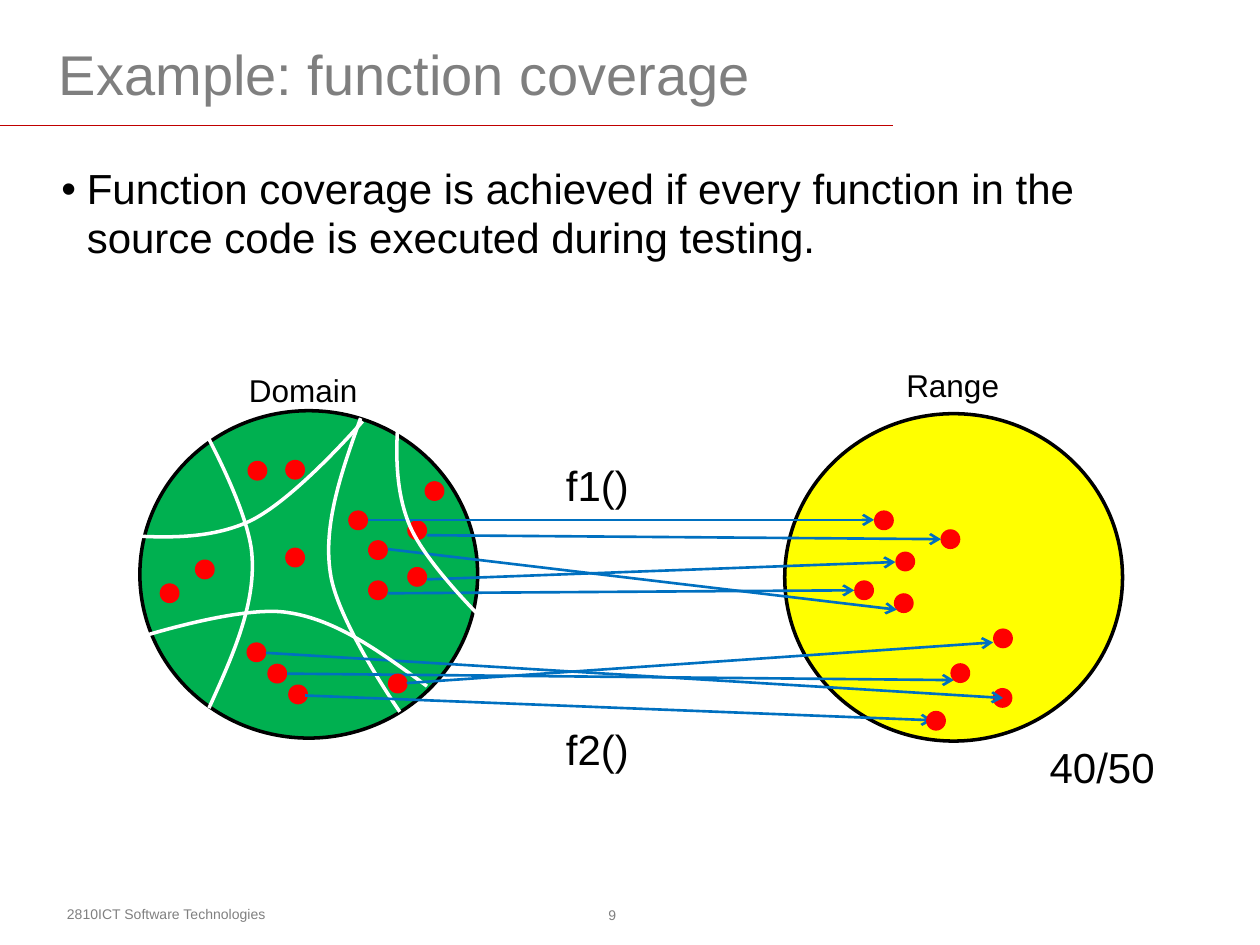
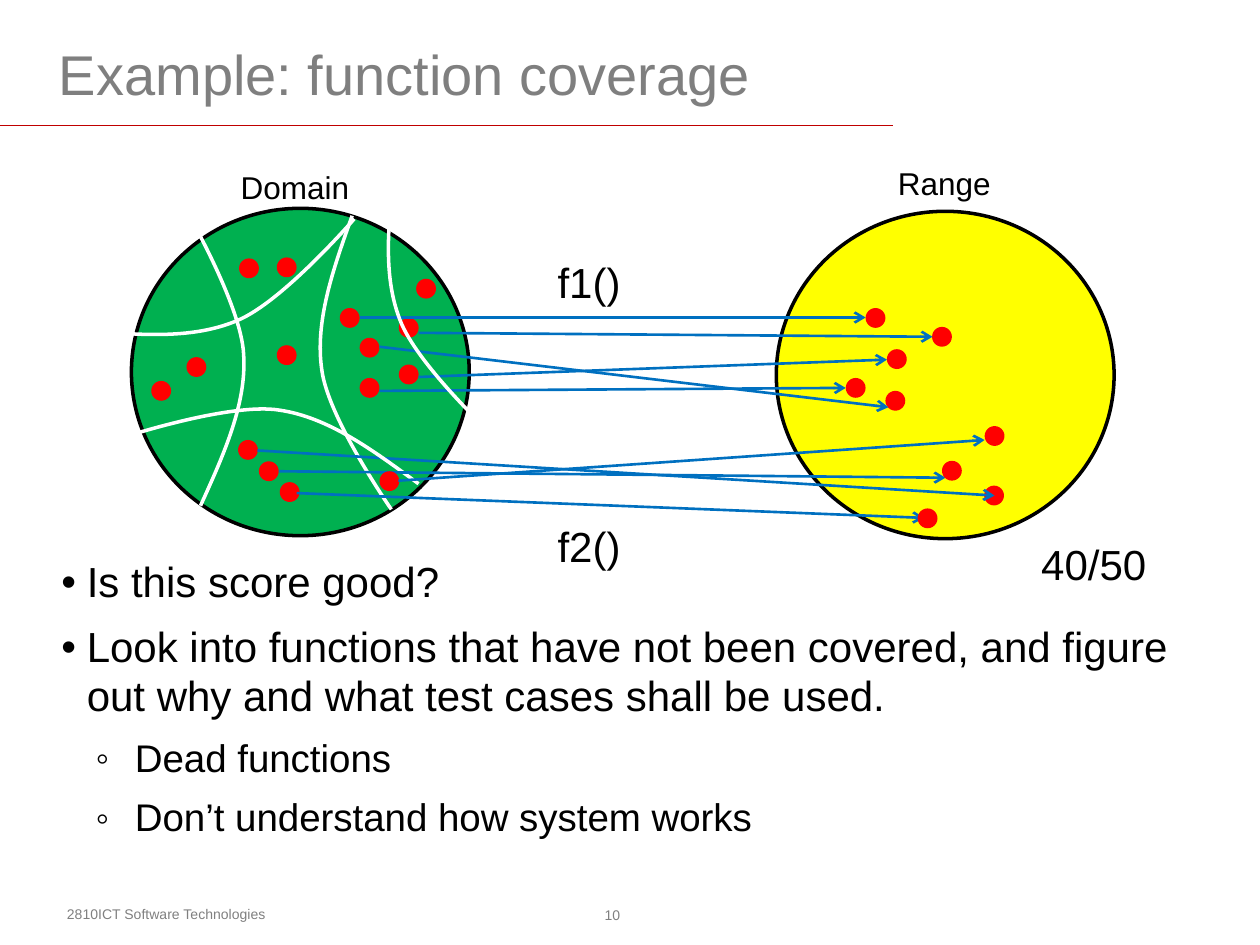
from dataclasses import dataclass

from lxml import etree
from pptx import Presentation
from pptx import util as u
from pptx.dml import color
from pptx.enum import shapes, text
from pptx.oxml import ns

COLOURS = {
    "title": "7F7F7F",
    "footer": "808080",
    "rule": "C00000",
    "text": "000000",
    "domain": "00B050",
    "range": "FFFF00",
    "dot": "FF0000",
    "arrow": "0070C0",
    "boundary": "FFFFFF",
}
FONT = "Arial"
DOT_SIZE = 0.4
SET_WIDTH, SET_HEIGHT = 6.81, 6.6

# The boundary curve, in hundredths of a centimetre inside its box.
CURVE_BOX = (145, 592)
CURVE_START = (66, 0)
CURVE_SEGMENTS = [
    [(28, 107), (-10, 213), (5, 312)],
    [(18, 409), (145, 592), (145, 592)],
]


# All lengths are centimetres; text sizes are points.
@dataclass(frozen=True)
class SetCircle:
    left: float
    top: float
    fill: str


@dataclass(frozen=True)
class Dot:
    left: float
    top: float


@dataclass(frozen=True)
class Arrow:
    x1: float
    y1: float
    x2: float
    y2: float


@dataclass(frozen=True)
class Boundary:
    left: float
    top: float
    rotation: float = 0


@dataclass(frozen=True)
class Label:
    words: str
    left: float
    top: float
    width: float = 2.64
    height: float = 1.12
    size: float = 24
    colour: str = "text"
    insets: tuple[float, float, float, float] = (0.25, 0, 0.25, 0.1)
    wrap: bool = True
    anchor: text.MSO_ANCHOR = text.MSO_ANCHOR.TOP


@dataclass(frozen=True)
class Level:
    bullet: str
    size: float
    margin: float
    hanging: float


@dataclass(frozen=True)
class Page:
    number: int
    bullets: list[tuple[int, str]]
    body_top: float
    body_height: float
    shift: tuple[float, float]


PLAIN = (0.25, 0.13, 0.25, 0.13)
TITLE = Label("Example: function coverage", 1.01, 0.71, 18.85, 1.52, 32, "title",
              (0.18, 0.08, 0.18, 0.08), anchor=text.MSO_ANCHOR.BOTTOM)
FOOTER = Label("2810ICT Software Technologies", 1.1, 18.12, 10.59, 0.61, 8,
               "footer", PLAIN)
LEVELS = [Level("•", 24, 0.51, 0.51), Level("◦", 22, 1.48, 0.79)]

# Back to front, placed as on the first page.
DIAGRAM = [
    SetCircle(2.82, 8.28, "domain"),
    SetCircle(15.82, 8.34, "range"),
    Label("Domain", 4.77, 7.34, 2.9, 1.02, 18, insets=PLAIN, wrap=False),
    Label("Range", 18.02, 7.25, 2.41, 1.02, 18, insets=PLAIN, wrap=False),
    # f1
    Dot(8.21, 10.49), Dot(8.21, 11.43), Dot(7.42, 10.89), Dot(7.42, 11.7),
    Dot(7.02, 10.29), Dot(17.62, 10.29), Dot(18.05, 11.12), Dot(18.02, 11.96),
    Dot(18.96, 10.67), Dot(17.22, 11.7),
    Arrow(7.42, 10.48, 17.62, 10.48),
    Arrow(8.61, 10.79, 18.97, 10.87),
    Arrow(7.82, 11.07, 18.08, 12.29),
    Arrow(7.82, 11.96, 17.22, 11.9),
    Arrow(8.61, 11.68, 18.05, 11.33),
    Boundary(6.61, 8.43),
    Label("f1()", 11.16, 9.26),
    # f2
    Dot(4.97, 12.95), Dot(20.01, 13.87),
    Arrow(5.36, 13.16, 20.22, 14.07),
    Boundary(5.03, 10.08, 106.8),
    Dot(5.39, 13.38), Dot(5.81, 13.8),
    Arrow(5.79, 13.58, 19.23, 13.71),
    Arrow(6.15, 14.02, 18.8, 14.52),
    Dot(19.16, 13.37), Dot(18.67, 14.33), Dot(7.82, 13.58),
    Arrow(8.2, 13.77, 20.02, 12.95),
    Dot(20.02, 12.67),
    Label("f2()", 11.16, 14.58),
    # inputs of functions that are not called
    Boundary(3.67, 8.36, 184.8),
    Boundary(3.9, 6.97, 255.6),
    Boundary(8.13, 7.26, 347.4),
    Dot(3.93, 11.28), Dot(3.22, 11.76), Dot(4.99, 9.29), Dot(5.75, 9.27),
    Dot(8.56, 9.7), Dot(5.75, 11.04),
    Label("40/50", 20.91, 14.94),
]

PAGES = [
    Page(9, [(0, "Function coverage is achieved if every function in the "
                 "source code is executed during testing.")], 3.2, 13.92, (0, 0)),
    Page(10, [
        (0, "Is this score good?"),
        (0, "Look into functions that have not been covered, and figure "
            "out why and what test cases shall be used."),
        (1, "Dead functions"),
        (1, "Don’t understand how system works"),
    ], 11.12, 6.5, (-0.17, -4.08)),
]


def rgb(name: str) -> color.RGBColor:
    return color.RGBColor.from_string(COLOURS[name])


def format_runs(para, size: float, colour: str) -> None:
    for span in para.runs:
        span.font.name = FONT
        span.font.size = u.Pt(size)
        span.font.color.rgb = rgb(colour)


def set_insets(frame, insets: tuple[float, float, float, float]) -> None:
    """Set the left, top, right and bottom insets."""
    (frame.margin_left, frame.margin_top,
     frame.margin_right, frame.margin_bottom) = map(u.Cm, insets)


def draw_label(slide, label: Label, dx: float = 0, dy: float = 0) -> None:
    box = slide.shapes.add_textbox(u.Cm(label.left + dx), u.Cm(label.top + dy),
                                   u.Cm(label.width), u.Cm(label.height))
    frame = box.text_frame
    frame.word_wrap = label.wrap
    frame.vertical_anchor = label.anchor
    set_insets(frame, label.insets)
    frame.text = label.words
    format_runs(frame.paragraphs[0], label.size, label.colour)


def draw_oval(slide, left: float, top: float, width: float, height: float,
              fill: str | None = None, outline: str | None = None):
    oval = slide.shapes.add_shape(shapes.MSO_SHAPE.OVAL, u.Cm(left), u.Cm(top),
                                  u.Cm(width), u.Cm(height))
    oval.shadow.inherit = False
    if fill:
        oval.fill.solid()
        oval.fill.fore_color.rgb = rgb(fill)
    else:
        oval.fill.background()
    if outline:
        oval.line.color.rgb = rgb(outline)
        oval.line.width = u.Pt(2)
    else:
        oval.line.fill.background()
    return oval


def draw_line(slide, line: Arrow, colour: str, width: float,
              head: bool = False) -> None:
    connector = slide.shapes.add_connector(
        shapes.MSO_CONNECTOR.STRAIGHT,
        *map(u.Cm, (line.x1, line.y1, line.x2, line.y2)))
    connector.line.color.rgb = rgb(colour)
    connector.line.width = u.Pt(width)
    properties = connector._element.spPr
    if head:
        etree.SubElement(properties.find(ns.qn("a:ln")), ns.qn("a:tailEnd"),
                         type="arrow")
    etree.SubElement(properties, ns.qn("a:effectLst"))


def draw_boundary(slide, boundary: Boundary, dx: float, dy: float) -> None:
    """Draw the shared curve: a straight outline gives the box, then bends."""
    builder = slide.shapes.build_freeform(0, 0, scale=u.Cm(0.01))
    builder.add_line_segments([CURVE_BOX], close=False)
    curve = builder.convert_to_shape(u.Cm(boundary.left + dx),
                                     u.Cm(boundary.top + dy))
    outline = curve._element.find(".//" + ns.qn("a:path"))
    for step in list(outline):
        outline.remove(step)
    steps = [("a:moveTo", [CURVE_START])]
    steps += [("a:cubicBezTo", points) for points in CURVE_SEGMENTS]
    for tag, points in steps:
        step = etree.SubElement(outline, ns.qn(tag))
        for x, y in points:
            etree.SubElement(step, ns.qn("a:pt"), x=str(x), y=str(y))
    curve.rotation = boundary.rotation
    curve.shadow.inherit = False
    curve.fill.background()
    curve.line.color.rgb = rgb("boundary")
    curve.line.width = u.Pt(2)


def draw_diagram(slide, dx: float, dy: float) -> None:
    for part in DIAGRAM:
        match part:
            case SetCircle(left, top, fill):
                draw_oval(slide, left + dx, top + dy, SET_WIDTH, SET_HEIGHT,
                          fill, "text")
            case Dot(left, top):
                draw_oval(slide, left + dx, top + dy, DOT_SIZE, DOT_SIZE, "dot")
            case Arrow(x1, y1, x2, y2):
                moved = Arrow(x1 + dx, y1 + dy, x2 + dx, y2 + dy)
                draw_line(slide, moved, "arrow", 1.5, head=True)
            case Boundary():
                draw_boundary(slide, part, dx, dy)
            case Label():
                draw_label(slide, part, dx, dy)


def draw_body(slide, page: Page) -> None:
    box = slide.shapes.add_textbox(u.Cm(0.99), u.Cm(page.body_top),
                                   u.Cm(23.65), u.Cm(page.body_height))
    frame = box.text_frame
    frame.word_wrap = True
    set_insets(frame, PLAIN)
    frame.text = "\n".join(words for _, words in page.bullets)
    for para, (depth, _) in zip(frame.paragraphs, page.bullets):
        level = LEVELS[depth]
        para.level = depth
        para.line_spacing = 0.97
        para.space_before = u.Pt(round(0.39 * level.size, 1))
        format_runs(para, level.size, "text")
        properties = para._p.get_or_add_pPr()
        properties.set("marL", str(u.Cm(level.margin)))
        properties.set("indent", str(-u.Cm(level.hanging)))
        etree.SubElement(properties, ns.qn("a:buFont"), typeface=FONT)
        etree.SubElement(properties, ns.qn("a:buChar"), char=level.bullet)


def draw_frame(slide, number: int) -> None:
    """Draw the page number, footer, rule and title that every page has."""
    badge = draw_oval(slide, 12.04, 18.11, 0.61, 0.66)
    frame = badge.text_frame
    frame.word_wrap = False
    frame.vertical_anchor = text.MSO_ANCHOR.MIDDLE
    set_insets(frame, (0.1, 0.1, 0.1, 0.1))
    frame.text = str(number)
    frame.paragraphs[0].alignment = text.PP_ALIGN.CENTER
    format_runs(frame.paragraphs[0], 8, "footer")
    draw_label(slide, FOOTER)
    draw_line(slide, Arrow(0, 2.53, 18.01, 2.53), "rule", 1)
    draw_label(slide, TITLE)


def main() -> None:
    deck = Presentation()
    deck.slide_width, deck.slide_height = u.Cm(25.4), u.Cm(19.05)
    for page in PAGES:
        slide = deck.slides.add_slide(deck.slide_layouts[6])
        draw_frame(slide, page.number)
        draw_body(slide, page)
        draw_diagram(slide, *page.shift)
    deck.save("out.pptx")


if __name__ == "__main__":
    main()
